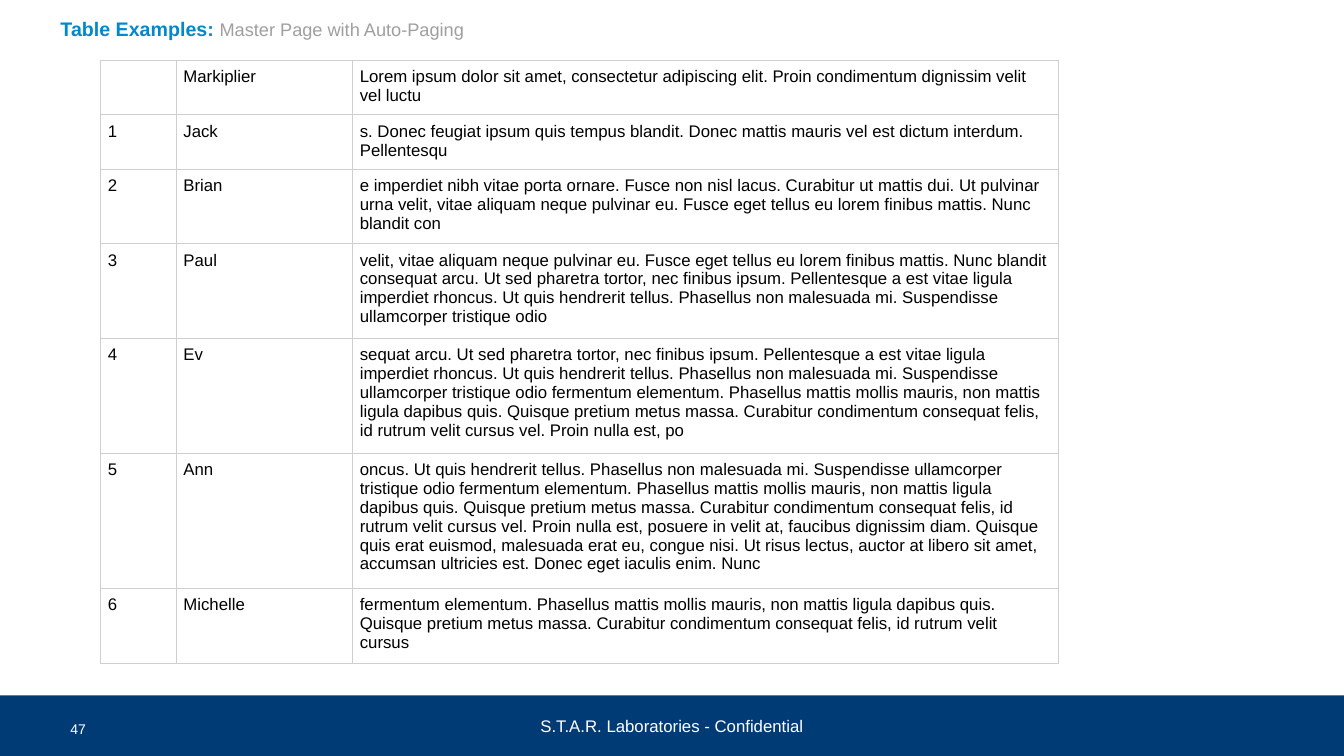
from collections import namedtuple

from lxml import etree
from pptx import Presentation
from pptx.dml.color import RGBColor
from pptx.enum import shapes, text
from pptx.oxml import ns
from pptx.util import Pt

COLORS = {
    "navy": "003B75",
    "blue": "0088CC",
    "gray": "9F9F9F",
    "border": "CFCFCF",
    "black": "000000",
    "white": "FFFFFF",
}
FONT = "Arial"
LINE_HEIGHT = 13.4
CELL_MARGIN = 5.04
Box = namedtuple("Box", "left top width height")

COLUMN_WIDTHS = [54, 126, 504]
ROWS = [
    ("", "Markiplier", 2,
     "Lorem ipsum dolor sit amet, consectetur adipiscing elit. Proin condimentum "
     "dignissim velit vel luctu"),
    ("1", "Jack", 2,
     "s. Donec feugiat ipsum quis tempus blandit. Donec mattis mauris vel est dictum "
     "interdum. Pellentesqu"),
    ("2", "Brian", 3,
     "e imperdiet nibh vitae porta ornare. Fusce non nisl lacus. Curabitur ut mattis dui. "
     "Ut pulvinar urna velit, vitae aliquam neque pulvinar eu. Fusce eget tellus eu lorem "
     "finibus mattis. Nunc blandit con"),
    ("3", "Paul", 4,
     "velit, vitae aliquam neque pulvinar eu. Fusce eget tellus eu lorem finibus mattis. "
     "Nunc blandit consequat arcu. Ut sed pharetra tortor, nec finibus ipsum. Pellentesque "
     "a est vitae ligula imperdiet rhoncus. Ut quis hendrerit tellus. Phasellus non "
     "malesuada mi. Suspendisse ullamcorper tristique odio"),
    ("4", "Ev", 5,
     "sequat arcu. Ut sed pharetra tortor, nec finibus ipsum. Pellentesque a est vitae "
     "ligula imperdiet rhoncus. Ut quis hendrerit tellus. Phasellus non malesuada mi. "
     "Suspendisse ullamcorper tristique odio fermentum elementum. Phasellus mattis mollis "
     "mauris, non mattis ligula dapibus quis. Quisque pretium metus massa. Curabitur "
     "condimentum consequat felis, id rutrum velit cursus vel. Proin nulla est, po"),
    ("5", "Ann", 6,
     "oncus. Ut quis hendrerit tellus. Phasellus non malesuada mi. Suspendisse ullamcorper "
     "tristique odio fermentum elementum. Phasellus mattis mollis mauris, non mattis ligula "
     "dapibus quis. Quisque pretium metus massa. Curabitur condimentum consequat felis, id "
     "rutrum velit cursus vel. Proin nulla est, posuere in velit at, faucibus dignissim "
     "diam. Quisque quis erat euismod, malesuada erat eu, congue nisi. Ut risus lectus, "
     "auctor at libero sit amet, accumsan ultricies est. Donec eget iaculis enim. Nunc"),
    ("6", "Michelle", 3,
     "fermentum elementum. Phasellus mattis mollis mauris, non mattis ligula dapibus quis. "
     "Quisque pretium metus massa. Curabitur condimentum consequat felis, id rutrum velit "
     "cursus"),
]


def in_points(box):
    return [Pt(length) for length in box]


def add_span(para, words, size, color, bold=False):
    span = para.add_run()
    span.text = words
    span.font.name = FONT
    span.font.size = Pt(size)
    span.font.bold = bold
    span.font.color.rgb = RGBColor.from_string(COLORS[color])


def add_label(page, box, words, size, color, align, anchor):
    frame = page.shapes.add_textbox(*in_points(box)).text_frame
    frame.word_wrap = True
    frame.vertical_anchor = anchor
    para = frame.paragraphs[0]
    para.alignment = align
    add_span(para, words, size, color)


def add_heading(page, box):
    title = page.shapes.title
    title.left, title.top, title.width, title.height = in_points(box)
    frame = title.text_frame
    frame.auto_size = text.MSO_AUTO_SIZE.NONE
    frame.vertical_anchor = text.MSO_ANCHOR.MIDDLE
    para = frame.paragraphs[0]
    para.alignment = text.PP_ALIGN.LEFT
    add_span(para, "Table Examples: ", 14, "blue", bold=True)
    add_span(para, "Master Page with Auto-Paging", 13, "gray")


def add_footer(page, box):
    bar = page.shapes.add_shape(shapes.MSO_SHAPE.RECTANGLE, *in_points(box))
    bar.shadow.inherit = False
    bar.fill.solid()
    bar.fill.fore_color.rgb = RGBColor.from_string(COLORS["navy"])
    bar.line.fill.background()
    add_label(page, box, "S.T.A.R. Laboratories - Confidential", 12, "white",
              text.PP_ALIGN.CENTER, text.MSO_ANCHOR.MIDDLE)
    number_box = Box(box.left + 43.2, box.top + 14.4, 62.64, 23.76)
    add_label(page, number_box, "47", 10, "white", text.PP_ALIGN.LEFT, text.MSO_ANCHOR.TOP)


def add_borders(cell):
    properties = cell._tc.get_or_add_tcPr()
    for side in ("a:lnL", "a:lnR", "a:lnT", "a:lnB"):
        line = etree.SubElement(properties, ns.qn(side), w=str(Pt(1)))
        fill = etree.SubElement(line, ns.qn("a:solidFill"))
        etree.SubElement(fill, ns.qn("a:srgbClr"), val=COLORS["border"])


def fill_cell(cell, words):
    cell.margin_left = cell.margin_right = Pt(CELL_MARGIN)
    cell.margin_top = cell.margin_bottom = Pt(CELL_MARGIN)
    add_borders(cell)
    cell.fill.background()
    para = cell.text_frame.paragraphs[0]
    if words:
        add_span(para, words, 12, "black")
    else:
        para.font.size = Pt(12)


def add_people_table(page, box):
    table = page.shapes.add_table(len(ROWS), len(COLUMN_WIDTHS), *in_points(box)).table
    table.first_row = False
    table.horz_banding = False
    for column, width in zip(table.columns, COLUMN_WIDTHS):
        column.width = Pt(width)
    for row, (number, name, lines, passage) in zip(table.rows, ROWS):
        row.height = Pt(lines * LINE_HEIGHT + 2 * CELL_MARGIN)
        for cell, words in zip(row.cells, (number, name, passage)):
            fill_cell(cell, words)


def main():
    deck = Presentation()
    deck.slide_width, deck.slide_height = Pt(960), Pt(540)
    page = deck.slides.add_slide(deck.slide_layouts[5])
    add_footer(page, Box(0, 496.8, 960, 43.2))
    add_heading(page, Box(36, 9.36, 864, 21.6))
    table_height = sum(row[2] * LINE_HEIGHT + 2 * CELL_MARGIN for row in ROWS)
    add_people_table(page, Box(72, 43.2, sum(COLUMN_WIDTHS), table_height))
    deck.save("out.pptx")


if __name__ == "__main__":
    main()
